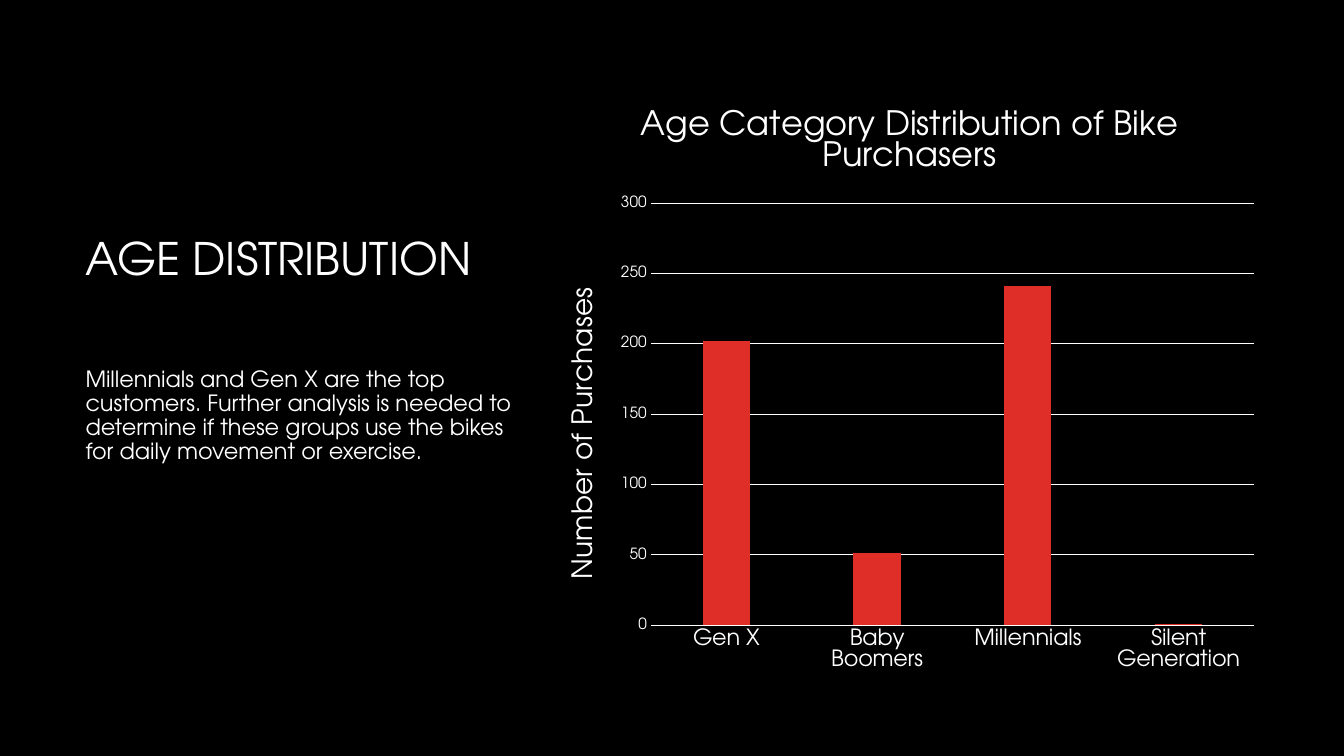
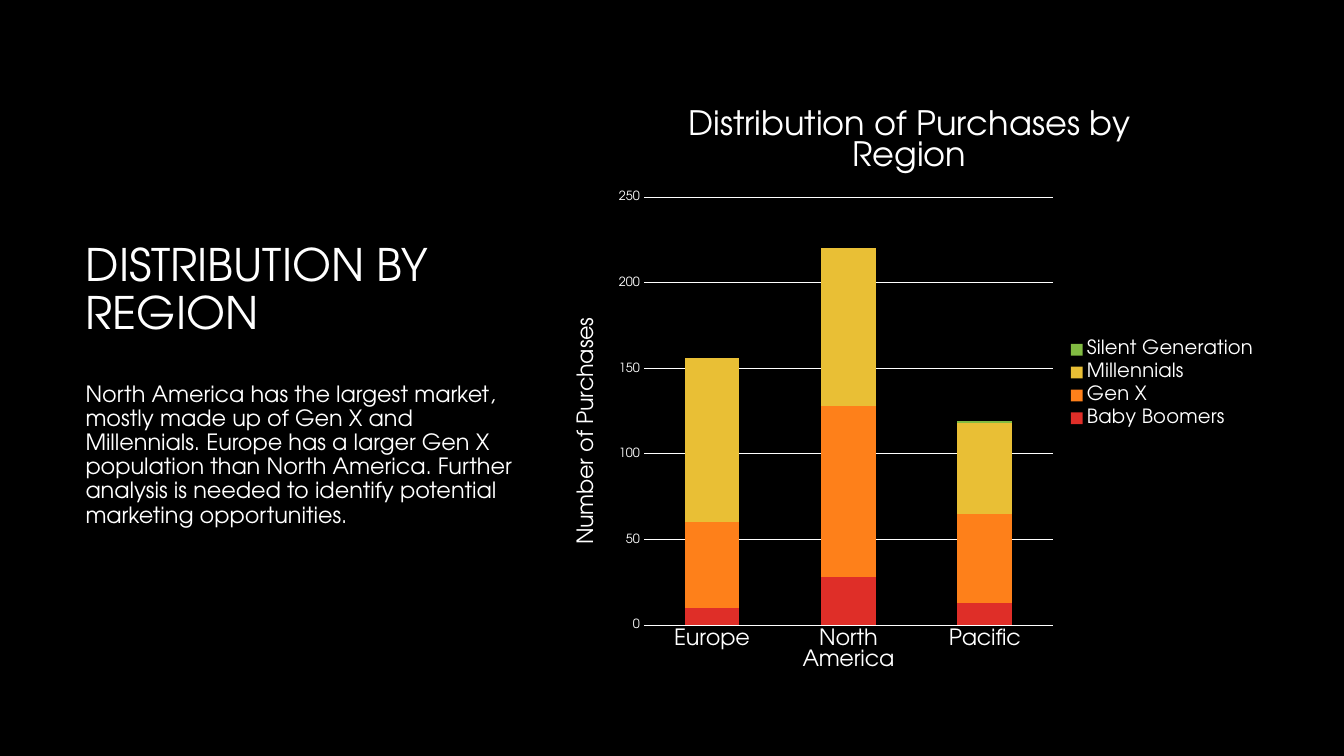
import pptx
import pptx.chart.data
import pptx.dml.color
import pptx.enum.chart
import pptx.enum.text
import pptx.util
from lxml import etree

Inches = pptx.util.Inches
Pt = pptx.util.Pt
RGB = pptx.dml.color.RGBColor
Kind = pptx.enum.chart.XL_CHART_TYPE
Anchor = pptx.enum.text.MSO_ANCHOR

FACE = "TeX Gyre Adventor"
BLACK = RGB(0x00, 0x00, 0x00)
WHITE = RGB(0xFF, 0xFF, 0xFF)
RED = RGB(0xDF, 0x2E, 0x28)
ORANGE = RGB(0xFE, 0x80, 0x1A)
YELLOW = RGB(0xE9, 0xBF, 0x35)
GREEN = RGB(0x81, 0xBB, 0x42)

LEFT, WIDTH = Inches(0.75), Inches(4.5)


def style(font, size):
    font.name = FACE
    font.size = Pt(size)
    font.bold = False
    font.color.rgb = WHITE


def write(shape, text, size, anchor, before=0):
    frame = shape.text_frame
    frame.word_wrap = True
    frame.auto_size = pptx.enum.text.MSO_AUTO_SIZE.NONE
    frame.vertical_anchor = anchor
    para = frame.paragraphs[0]
    para.text = text
    para.alignment = pptx.enum.text.PP_ALIGN.LEFT
    para.line_spacing = 0.9
    para.space_before = Pt(before)
    style(para.font, size)


def add_title(slide, text, height):
    title = slide.shapes.title
    title.left, title.top = LEFT, Inches(1.67)
    title.width, title.height = WIDTH, Inches(height)
    write(title, text, 32, Anchor.BOTTOM)


def add_body(slide, text, top):
    box = slide.shapes.add_textbox(LEFT, Inches(top), WIDTH, Inches(6.8 - top))
    write(box, text, 16, Anchor.TOP, 10)


def label(title, text, size):
    para = title.text_frame.paragraphs[0]
    para.text = text
    style(para.font, size)


def rule(line):
    line.color.rgb = WHITE
    line.width = Pt(0.75)


def place(chart, area):
    plot = chart.plots[0]._element.getparent()
    for old in plot.findall(pptx.oxml.ns.qn("c:layout")):
        plot.remove(old)
    layout = etree.Element(pptx.oxml.ns.qn("c:layout"))
    manual = etree.SubElement(layout, pptx.oxml.ns.qn("c:manualLayout"))
    parts = [("layoutTarget", "inner"), ("xMode", "edge"), ("yMode", "edge")]
    for tag, val in parts + list(zip("xywh", area)):
        etree.SubElement(manual, pptx.oxml.ns.qn("c:" + tag), val=str(val))
    plot.insert(0, layout)


def format_axes(chart, top, title_size, tick_size):
    none = pptx.enum.chart.XL_TICK_MARK.NONE
    cats, vals = chart.category_axis, chart.value_axis
    for axis, size in ((cats, 16), (vals, tick_size)):
        axis.major_tick_mark = axis.minor_tick_mark = none
        style(axis.tick_labels.font, size)
    rule(cats.format.line)
    vals.format.line.fill.background()
    rule(vals.major_gridlines.format.line)
    vals.minimum_scale, vals.maximum_scale, vals.major_unit = 0, top, 50
    label(vals.axis_title, "Number of Purchases", title_size)
    body = vals.axis_title.text_frame._txBody.bodyPr
    body.set("rot", "-5400000")
    body.set("vert", "horz")


def add_chart(slide, kind, title, cats, series, gap, overlap, area):
    data = pptx.chart.data.CategoryChartData()
    data.categories = cats
    for name, vals, _ in series:
        data.add_series(name, vals)
    chart = slide.shapes.add_chart(
        kind, Inches(5.46), Inches(0.82), Inches(7.12), Inches(5.98), data
    ).chart
    style(chart.font, 10)
    chart.has_legend = False
    label(chart.chart_title, title, 24)
    chart.chart_title.include_in_layout = False
    plot = chart.plots[0]
    plot.gap_width, plot.overlap = gap, overlap
    plot.vary_by_categories = False
    for bar, (_, _, color) in zip(plot.series, series):
        bar.format.fill.solid()
        bar.format.fill.fore_color.rgb = color
    place(chart, area)
    return chart


def add_legend(chart):
    chart.has_legend = True
    chart.legend.position = pptx.enum.chart.XL_LEGEND_POSITION.RIGHT
    chart.legend.include_in_layout = False
    style(chart.legend.font, 14)


def add_ages(slide):
    add_title(slide, "AGE DISTRIBUTION", 1.21)
    add_body(
        slide,
        "Millennials and Gen X are the top customers. Further analysis is needed "
        "to determine if these groups use the bikes for daily movement or exercise.",
        3.6,
    )
    chart = add_chart(
        slide,
        Kind.COLUMN_CLUSTERED,
        "Age Category Distribution of Bike Purchasers",
        ["Gen X", "Baby Boomers", "Millennials", "Silent Generation"],
        [("Series 1", [202, 51, 241, 1], RED)],
        219,
        -27,
        (0.14, 0.2, 0.84, 0.7),
    )
    format_axes(chart, 300, 20, 11)


def add_regions(slide):
    add_title(slide, "DISTRIBUTION BY REGION", 1.75)
    add_body(
        slide,
        "North America has the largest market, mostly made up of Gen X and "
        "Millennials. Europe has a larger Gen X population than North America. "
        "Further analysis is needed to identify potential marketing opportunities.",
        3.75,
    )
    chart = add_chart(
        slide,
        Kind.COLUMN_STACKED,
        "Distribution of Purchases by Region",
        ["Europe", "North America", "Pacific"],
        [
            ("Baby Boomers", [10, 28, 13], RED),
            ("Gen X", [50, 100, 52], ORANGE),
            ("Millennials", [96, 92, 53], YELLOW),
            ("Silent Generation", [None, None, 1], GREEN),
        ],
        150,
        100,
        (0.13, 0.19, 0.57, 0.71),
    )
    format_axes(chart, 250, 16, 9)
    add_legend(chart)


def main():
    deck = pptx.Presentation()
    deck.slide_width, deck.slide_height = Inches(13.33), Inches(7.5)
    fill = deck.slide_master.background.fill
    fill.solid()
    fill.fore_color.rgb = BLACK
    for build in (add_ages, add_regions):
        build(deck.slides.add_slide(deck.slide_layouts[5]))
    deck.save("out.pptx")


if __name__ == "__main__":
    main()
